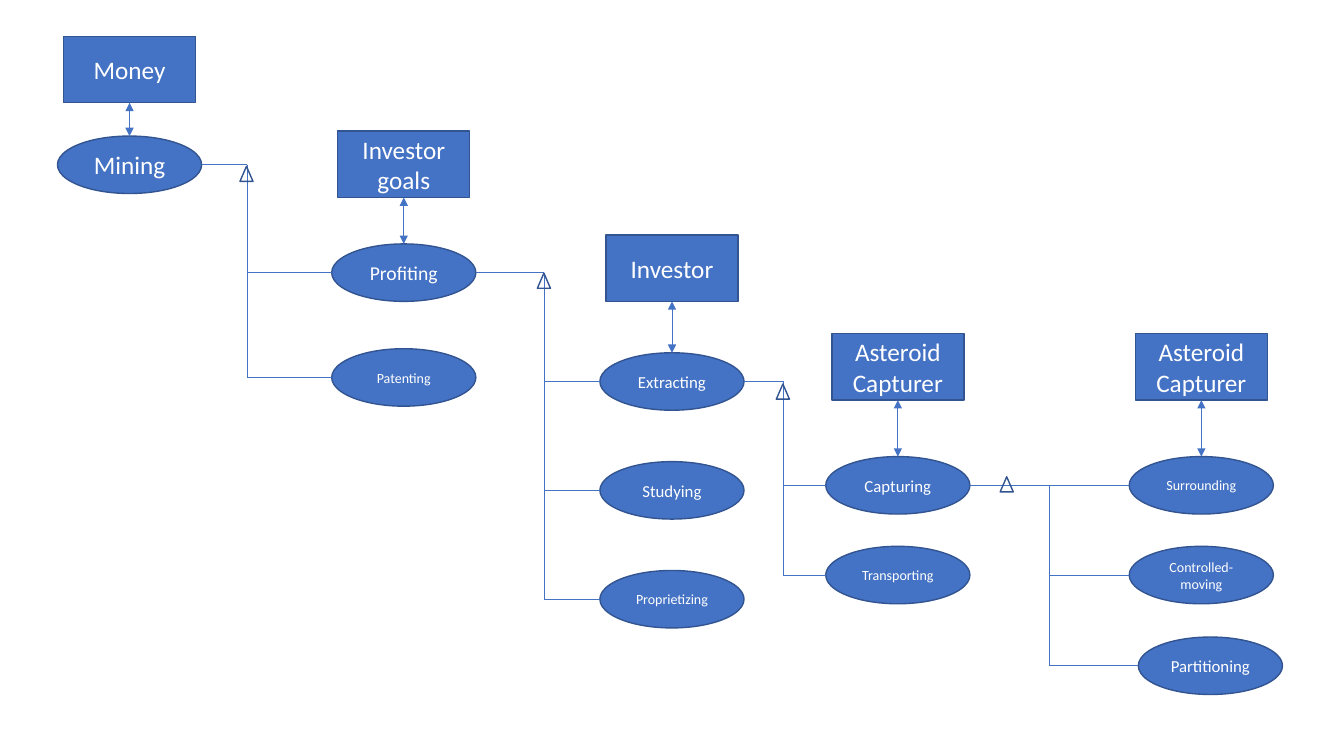
from pptx import Presentation
from pptx.util import Inches, Pt
from pptx.dml.color import RGBColor as RGB
from pptx.enum.shapes import MSO_SHAPE as Kind, MSO_CONNECTOR as Link
from pptx.enum.text import PP_ALIGN as Align, MSO_ANCHOR as Anchor
from pptx.oxml.ns import qn
from lxml.etree import SubElement as add_sub

COLORS = {"fill": "4472C4", "edge": "325491", "text": "FFFFFF"}
OVAL_W, OVAL_H = 1.43, 0.57
BOX_W, BOX_H = 1.31, 0.66
TIP_W, TIP_H = 0.13, 0.15


class Chart:
    def __init__(self, slide):
        self.slide = slide
        self.font = "Calibri"

    def color(self, name):
        return RGB.from_string(COLORS[name])

    def shape(self, kind, x, y, w, h):
        item = self.slide.shapes.add_shape(
            kind, Inches(x), Inches(y), Inches(w), Inches(h))
        item.shadow.inherit = False
        item.line.color.rgb = self.color("edge")
        item.line.width = Pt(1)
        return item

    def node(self, kind, x, y, w, h, text, size):
        item = self.shape(kind, x, y, w, h)
        item.fill.solid()
        item.fill.fore_color.rgb = self.color("fill")
        frame = item.text_frame
        frame.word_wrap = True
        frame.vertical_anchor = Anchor.MIDDLE
        para = frame.paragraphs[0]
        para.alignment = Align.CENTER
        run = para.add_run()
        run.text = text
        run.font.name = self.font
        run.font.size = Pt(size)
        run.font.color.rgb = self.color("text")

    def box(self, x, y, text):
        self.node(Kind.RECTANGLE, x, y, BOX_W, BOX_H, text, 18)

    def oval(self, x, y, text, size):
        self.node(Kind.OVAL, x, y, OVAL_W, OVAL_H, text, size)

    def tip(self, x, y):
        self.shape(Kind.ISOSCELES_TRIANGLE, x, y, TIP_W, TIP_H).fill.background()

    def line(self, x1, y1, x2, y2, arrows=False):
        item = self.slide.shapes.add_connector(
            Link.STRAIGHT, Inches(x1), Inches(y1), Inches(x2), Inches(y2))
        item.line.color.rgb = self.color("fill")
        item.line.width = Pt(0.5)
        if arrows:
            edge = item.line._get_or_add_ln()
            for end in ("a:headEnd", "a:tailEnd"):
                add_sub(edge, qn(end), type="triangle")
        add_sub(item._element.spPr, qn("a:effectLst"))


OVALS = {
    "Mining": (0.57, 1.35, 18),
    "Profiting": (3.29, 2.42, 14),
    "Patenting": (3.29, 3.46, 10),
    "Extracting": (5.95, 3.5, 12),
    "Studying": (5.95, 4.58, 12),
    "Proprietizing": (5.95, 5.66, 10),
    "Capturing": (8.19, 4.53, 12),
    "Transporting": (8.19, 5.42, 10),
    "Surrounding": (11.2, 4.53, 10),
    "Controlled-moving": (11.2, 5.42, 10),
    "Partitioning": (11.29, 6.32, 12),
}
OWNERS = [
    ("Money", "Mining", 0.36),
    ("Investor goals", "Profiting", 1.3),
    ("Investor", "Extracting", 2.33),
    ("Asteroid Capturer", "Capturing", 3.31),
    ("Asteroid Capturer", "Surrounding", 3.31),
]
TREES = [
    ("Mining", 2.45, ["Profiting", "Patenting"], (2.38, 1.65)),
    ("Profiting", 5.4, ["Extracting", "Studying", "Proprietizing"], (5.33, 2.71)),
    ("Extracting", 7.77, ["Capturing", "Transporting"], (7.7, 3.81)),
    ("Capturing", 10.41, ["Surrounding", "Controlled-moving", "Partitioning"],
     (9.92, 4.73)),
]


def mid(name):
    return OVALS[name][1] + OVAL_H / 2


deck = Presentation()
deck.slide_width, deck.slide_height = Inches(13.33), Inches(7.5)
chart = Chart(deck.slides.add_slide(deck.slide_layouts[6]))

for name, (x, y, size) in OVALS.items():
    chart.oval(x, y, name, size)

for owner, name, top in OWNERS:
    x, y, size = OVALS[name]
    center = x + OVAL_W / 2
    chart.box(center - BOX_W / 2, top, owner)
    chart.line(center, y, center, top + BOX_H, arrows=True)

for root, trunk, leaves, tip in TREES:
    chart.line(OVALS[root][0] + OVAL_W, mid(root), trunk, mid(root))
    chart.line(trunk, mid(leaves[-1]), trunk, mid(root))
    for leaf in leaves:
        chart.line(OVALS[leaf][0], mid(leaf), trunk, mid(leaf))
    chart.tip(*tip)

deck.save("out.pptx")
